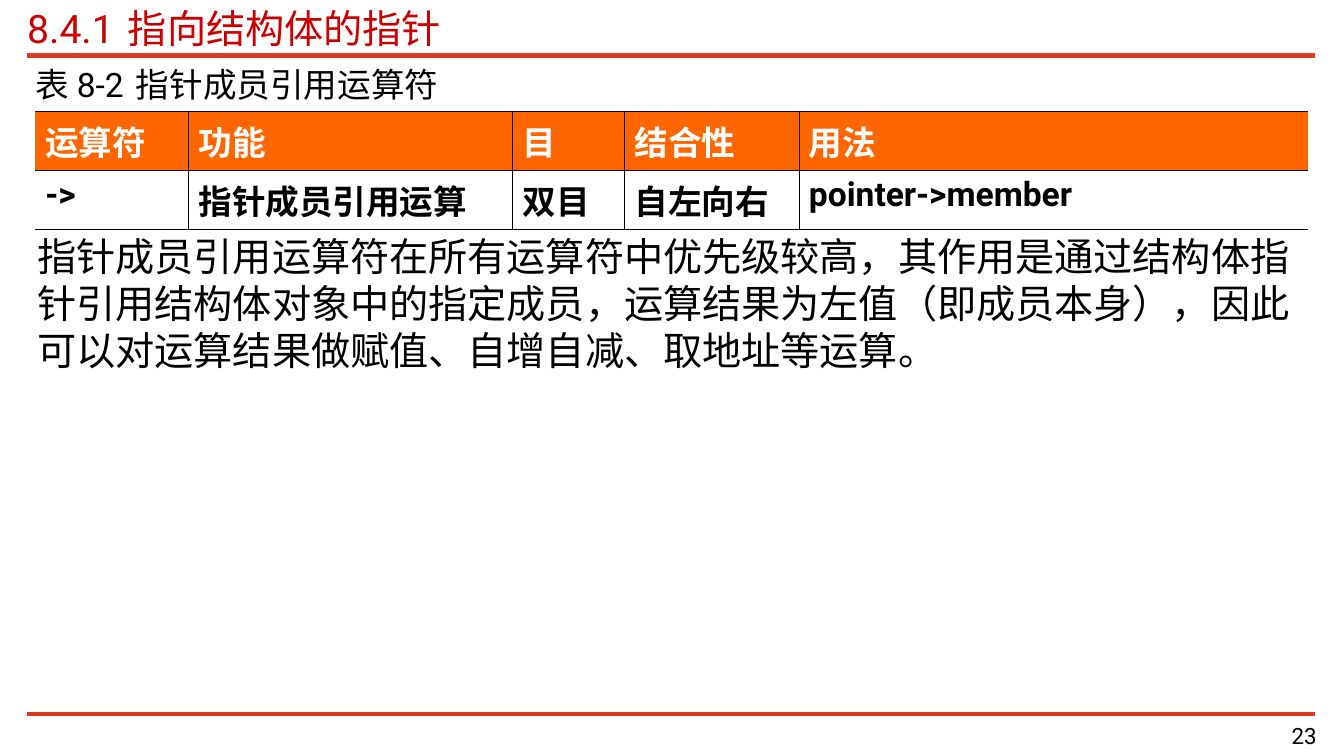
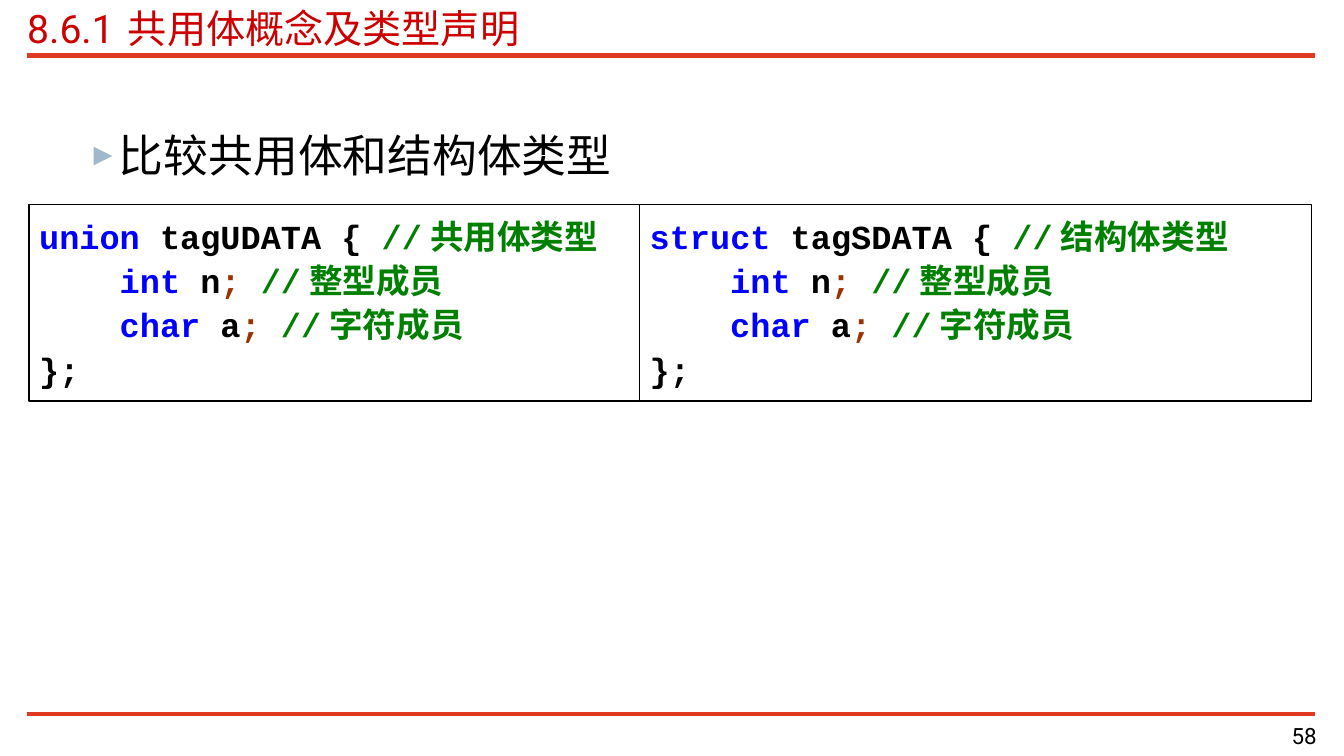
from dataclasses import dataclass
from lxml.etree import SubElement
from pptx import Presentation
from pptx.dml.color import RGBColor
from pptx.enum.lang import MSO_LANGUAGE_ID
from pptx.enum.shapes import MSO_CONNECTOR, MSO_SHAPE
from pptx.enum.text import MSO_ANCHOR, MSO_AUTO_SIZE, PP_ALIGN
from pptx.oxml.ns import qn
from pptx.util import Inches, Pt


@dataclass(frozen=True)
class Theme:
    font: str = "Roboto"
    mono: str = "Courier New"
    rule: str = "E13A23"
    title: str = "CC0000"
    head: str = "FF6600"
    black: str = "000000"
    white: str = "FFFFFF"
    key: str = "0000FF"
    note: str = "008000"
    punct: str = "993300"
    bullet: str = "9FB8CC"
    big: int = 32
    main: int = 28
    mid: int = 24
    small: int = 16


T = Theme()
WIDE, HIGH = 13.34, 7.5
LEFT, RIGHT = 0.27, 13.05
SPAN = RIGHT - LEFT
RULES = [(0.55, 4), (7.08, 3)]

# Content
POINTER = dict(
    title="8.4.1\t指向结构体的指针", page=23,
    caption="表8-2\t指针成员引用运算符",
    cols=[1.52, 3.22, 1.11, 1.73, 5.05],
    rows=[["运算符", "功能", "目", "结合性", "用法"],
          ["->", "指针成员引用运算", "双目", "自左向右", "pointer->member"]],
    body="指针成员引用运算符在所有运算符中优先级较高，其作用是通过结构体指针引用结构体对象中的"
         "指定成员，运算结果为左值（即成员本身），因此可以对运算结果做赋值、自增自减、取地址等运算。")
UNION = dict(
    title="8.6.1\t共用体概念及类型声明", page=58,
    body="比较共用体和结构体类型",
    codes=[("union", "tagUDATA", "共用体类型", 6.06),
           ("struct", "tagSDATA", "结构体类型", 6.67)])
FIELDS = [("int", "n", "整型成员"), ("char", "a", "字符成员")]


def code(key, name, note):
    """Lines of a type declaration, as coloured runs."""
    head = [(key + " ", T.key), (name + " { ", T.black), ("//" + note, T.note)]
    body = [[("    ", T.black), (kind + " ", T.key), (var, T.black),
             ("; ", T.punct), ("//" + rem, T.note)] for kind, var, rem in FIELDS]
    return [head, *body, [("};", T.black)]]


def rgb(hue):
    return RGBColor.from_string(hue)


def add(node, tag, **attrs):
    return SubElement(node, qn("a:" + tag), attrs)


def write(frame, text, size=T.main, color=T.black, font=T.font, bold=False,
          align=PP_ALIGN.LEFT, gap=None, mark=None, lead=None,
          pad=(0, 0), anchor=MSO_ANCHOR.TOP):
    """Text is a string, or a list of lines made of (text, colour) runs."""
    frame.word_wrap = True
    frame.auto_size = MSO_AUTO_SIZE.NONE
    frame.vertical_anchor = anchor
    frame.margin_left = frame.margin_right = Inches(pad[0])
    frame.margin_top = frame.margin_bottom = Inches(pad[1])
    lines = [[(text, color)]] if isinstance(text, str) else text
    for i, line in enumerate(lines):
        para = frame.add_paragraph() if i else frame.paragraphs[0]
        props = para._p.get_or_add_pPr()
        left, hang = (0.81, -0.31) if mark else (0, 0)
        props.set("marL", str(Inches(left)))
        props.set("indent", str(Inches(hang)))
        if mark:
            add(add(props, "buClr"), "srgbClr", val=T.bullet)
            add(props, "buSzPct", val="70000")
            add(props, "buChar", char=mark)
        else:
            add(props, "buNone")
        if gap:
            add(add(props, "tabLst"), "tab", pos=str(Inches(gap)), algn="l")
        para.alignment = align
        para.space_before = Pt(0)
        if lead:
            para.line_spacing = lead
        for words, hue in line:
            run = para.add_run()
            run.text = words
            run.font.size, run.font.name, run.font.bold = Pt(size), font, bold
            run.font.color.rgb = rgb(hue)
            run.font.language_id = MSO_LANGUAGE_ID.SIMPLIFIED_CHINESE


def place(shape, *box):
    shape.left, shape.top, shape.width, shape.height = map(Inches, box)
    return shape.text_frame


def label(slide, text, box, **form):
    write(slide.shapes.add_textbox(*map(Inches, box)).text_frame, text, **form)


def rules(slide, layout):
    """Put the two red rules on the layout that all slides share."""
    for y, thick in RULES:
        line = slide.shapes.add_connector(
            MSO_CONNECTOR.STRAIGHT, *map(Inches, (LEFT, y, RIGHT, y)))
        line.line.color.rgb = rgb(T.rule)
        line.line.width = Pt(thick)
        add(line.element.spPr, "effectLst")
        layout.shapes.element.append(line.element)


def start(deck, data, top, **form):
    """New slide with title, body and page number."""
    slide = deck.slides.add_slide(deck.slide_layouts[1])
    title, body = slide.placeholders
    write(place(title, LEFT, 0.04, SPAN, 0.47), data["title"],
          color=T.title, gap=1.15, anchor=MSO_ANCHOR.MIDDLE)
    write(place(body, LEFT, top, SPAN, 7 - top), data["body"],
          pad=(0.1, 0.05), **form)
    label(slide, str(data["page"]), (10.39, 7.16, 2.68, 0.31),
          size=T.small, align=PP_ALIGN.RIGHT)
    return slide


def edge(cell, sides):
    """Draw the cell borders; a width of 0 leaves the side open."""
    props = cell._tc.get_or_add_tcPr()
    for side, thick in zip("LRTB", sides):
        line = add(props, "ln" + side, w=str(Pt(thick)))
        if thick:
            add(add(line, "solidFill"), "srgbClr", val=T.black)
        else:
            add(line, "noFill")


def grid(slide, rows, cols, left, top, high):
    table = slide.shapes.add_table(
        len(rows), len(cols),
        *map(Inches, (left, top, sum(cols), high * len(rows)))).table
    table.horz_banding = False
    for col, wide in zip(table.columns, cols):
        col.width = Inches(wide)
    for r, row in enumerate(rows):
        for c, text in enumerate(row):
            cell = table.cell(r, c)
            edge(cell, (0.45 if c else 0, 0.45 if c < len(cols) - 1 else 0,
                        0.62, 0.62))
            if r:
                cell.fill.background()
            else:
                cell.fill.solid()
                cell.fill.fore_color.rgb = rgb(T.head)
            write(cell.text_frame, text, size=T.mid, bold=True,
                  color=T.black if r else T.white)
            cell.margin_left = cell.margin_right = Inches(0.1)
            cell.margin_top = cell.margin_bottom = Inches(0.05)


def panels(slide, codes, left, top, high):
    for key, name, note, wide in codes:
        box = slide.shapes.add_shape(
            MSO_SHAPE.RECTANGLE, *map(Inches, (left, top, wide, high)))
        box.shadow.inherit = False
        box.fill.background()
        box.line.color.rgb = rgb(T.black)
        box.line.width = Pt(1)
        write(box.text_frame, code(key, name, note), size=T.mid, font=T.mono,
              bold=True, lead=1.1, pad=(0.1, 0.07))
        left += wide


def main():
    deck = Presentation()
    deck.slide_width, deck.slide_height = Inches(WIDE), Inches(HIGH)

    # Pointer operator
    slide = start(deck, POINTER, 2.25)
    rules(slide, deck.slide_layouts[1])
    label(slide, POINTER["caption"], (0.35, 0.63, 12.64, 0.4),
          size=T.mid, gap=1.1)
    grid(slide, POINTER["rows"], POINTER["cols"], 0.35, 1.11, 0.5)

    # Union and structure
    slide = start(deck, UNION, 1.22, size=T.big, mark="►")
    panels(slide, UNION["codes"], 0.29, 2.03, 1.95)

    deck.save("out.pptx")


if __name__ == "__main__":
    main()
